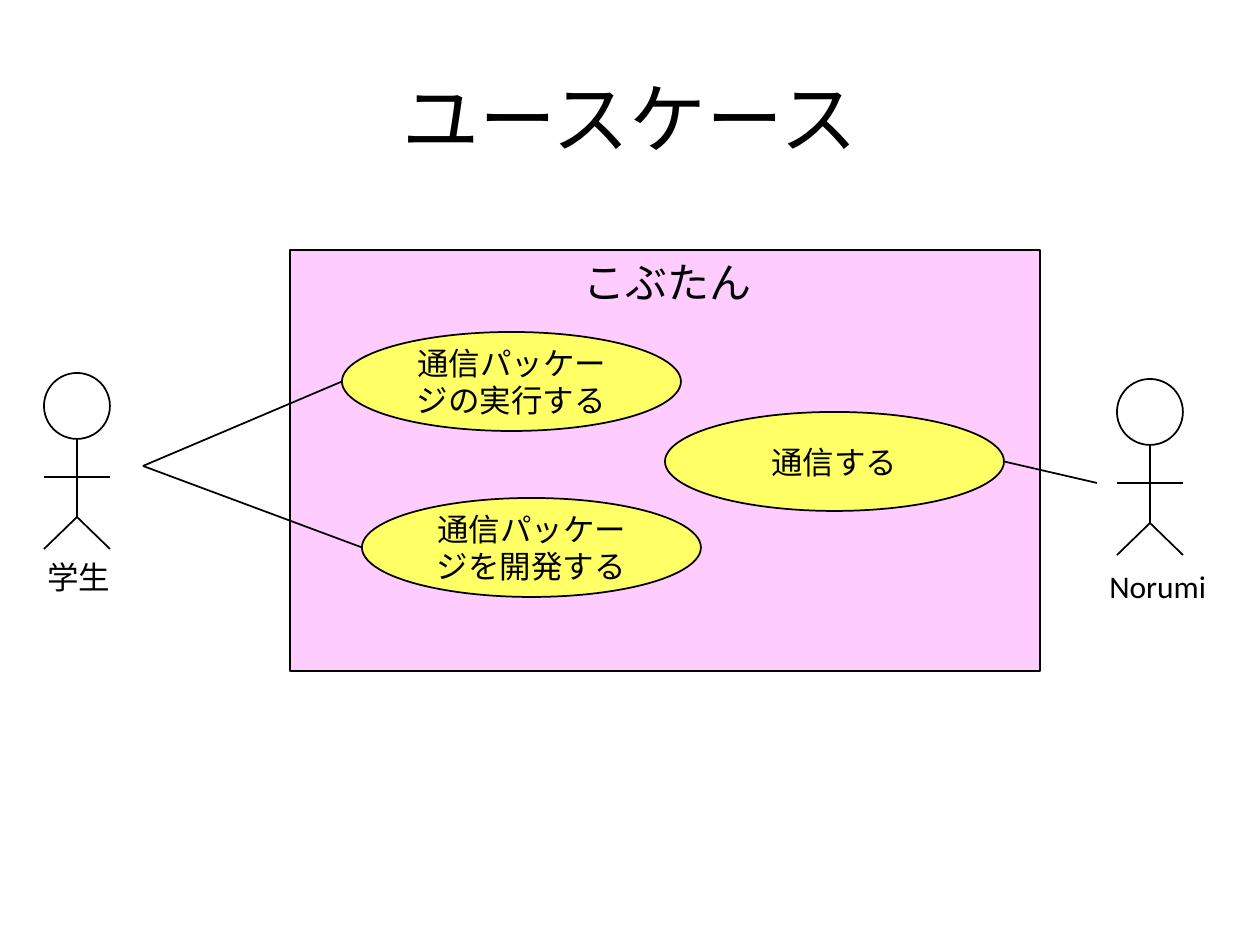
from dataclasses import dataclass

from lxml import etree
from pptx import Presentation
from pptx import util as u
from pptx.dml.color import RGBColor
from pptx.enum import shapes, text
from pptx.oxml.ns import qn


@dataclass(frozen=True)
class Theme:
    font: str = "Calibri"
    ink: RGBColor = RGBColor(0, 0, 0)
    actor: RGBColor = RGBColor(255, 255, 255)
    system: RGBColor = RGBColor(0xFF, 0xCC, 0xFF)
    use_case: RGBColor = RGBColor(0xFF, 0xFF, 0x66)
    title: int = 44
    heading: int = 24
    body: int = 18
    line: int = 1


T = Theme()
PX = 914400 / 126


def put(parent, box, content="", kind=None, fill=None, size=T.body,
        align=text.PP_ALIGN.LEFT, anchor=text.MSO_ANCHOR.TOP):
    box = [round(v * PX) for v in box]
    if kind is None:
        sp = parent.add_textbox(*box)
    else:
        sp = parent.add_shape(kind, *box)
        sp.shadow.inherit = False
        sp.fill.solid()
        sp.fill.fore_color.rgb = fill
        sp.line.color.rgb = T.ink
        sp.line.width = u.Pt(T.line)
    if content:
        tf = sp.text_frame
        tf.word_wrap = True
        tf.vertical_anchor = anchor
        p = tf.paragraphs[0]
        p.alignment = align
        r = p.add_run()
        r.text = content
        r.font.name = T.font
        r.font.size = u.Pt(size)
        r.font.color.rgb = T.ink
    return sp


def link(parent, x1, y1, x2, y2):
    ends = [round(v * PX) for v in (x1, y1, x2, y2)]
    cx = parent.add_connector(shapes.MSO_CONNECTOR.STRAIGHT, *ends)
    cx.line.color.rgb = T.ink
    cx.line.width = u.Pt(T.line)
    etree.SubElement(cx._element.spPr, qn("a:effectLst"))


prs = Presentation()
prs.slide_width = u.Inches(10)
prs.slide_height = u.Inches(7.5)
s = prs.slides.add_slide(prs.slide_layouts[6])
center, middle = text.PP_ALIGN.CENTER, text.MSO_ANCHOR.MIDDLE
oval = shapes.MSO_SHAPE.OVAL

put(s.shapes, (63, 38, 1134, 157), "ユースケース", size=T.title,
    align=center, anchor=middle)
put(s.shapes, (290, 250, 750, 421), kind=shapes.MSO_SHAPE.RECTANGLE, fill=T.system)
put(s.shapes, (571, 250, 200, 64), "こぶたん", size=T.heading)

head = 66
for x, y, name, name_x, name_y in [
    (44, 373, "学生", 35, 552),
    (1117, 379, "Norumi", 1097, 561),
]:
    figure = s.shapes.add_group_shape().shapes
    mid, right = x + head // 2, x + head
    neck, arms, hip, feet = (y + d for d in (head, 104, 144, 176))
    put(figure, (x, y, head, head), kind=oval, fill=T.actor)
    link(figure, mid, neck, mid, hip)
    link(figure, x, arms, right, arms)
    for foot in (x, right):
        link(figure, mid, hip, foot, feet)
    put(s.shapes, (name_x, name_y, 129, 50), name)

w, h = 339, 99
student, robot = (143, 466), (1097, 483)
for x, y, label, actor, side in [
    (342, 332, "通信パッケージの実行する", student, 0),
    (362, 498, "通信パッケージを開発する", student, 0),
    (665, 412, "通信する", robot, w),
]:
    put(s.shapes, (x, y, w, h), label, oval, T.use_case, align=center, anchor=middle)
    link(s.shapes, *actor, x + side, y + h / 2)

prs.save("out.pptx")
